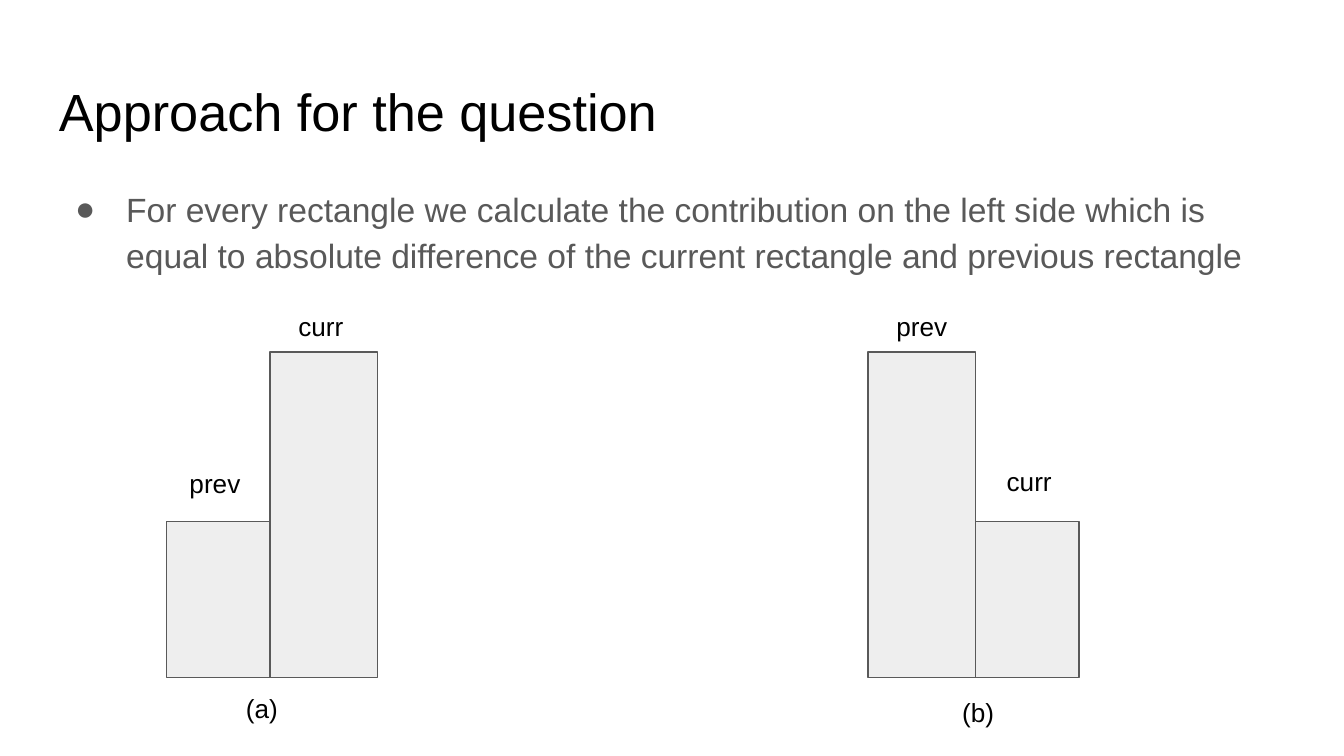
from lxml import etree
from pptx import Presentation
from pptx.dml.color import RGBColor
from pptx.enum import shapes, text
from pptx.oxml import ns
from pptx.util import Inches, Pt

BLACK = RGBColor(0x00, 0x00, 0x00)
GREY = RGBColor(0x59, 0x59, 0x59)
PALE = RGBColor(0xEE, 0xEE, 0xEE)
FONT = "Arial"
INSET = 0.1
SHORT, TALL = (0.77, 1.16), (0.8, 2.42)


def add_text(page, words, box, size=14, color=BLACK, indent=0, spacing=1.0):
    """Place one left-aligned paragraph in a box and return the paragraph."""
    frame = page.shapes.add_textbox(*map(Inches, box)).text_frame
    frame.word_wrap = True
    frame.vertical_anchor = text.MSO_ANCHOR.TOP
    frame.margin_left = Inches(INSET + indent)
    frame.margin_top = frame.margin_right = frame.margin_bottom = Inches(INSET)
    para = frame.paragraphs[0]
    para.line_spacing = spacing
    span = para.add_run()
    span.text = words
    span.font.name = FONT
    span.font.size = Pt(size)
    span.font.color.rgb = color
    return para


def add_bullet(para, color, margin, hanging):
    """Give a paragraph a coloured round bullet with a hanging indent."""
    properties = para._p.get_or_add_pPr()
    properties.set("marL", str(Inches(margin)))
    properties.set("indent", str(-Inches(hanging)))
    bullet_color = etree.SubElement(properties, ns.qn("a:buClr"))
    etree.SubElement(bullet_color, ns.qn("a:srgbClr"), val=str(color))
    etree.SubElement(properties, ns.qn("a:buFont"), typeface=FONT)
    etree.SubElement(properties, ns.qn("a:buChar"), char="●")


def add_bar(page, left, floor, size):
    """Stand one outlined bar on the floor line."""
    width, height = size
    box = (left, floor - height, width, height)
    bar = page.shapes.add_shape(shapes.MSO_SHAPE.RECTANGLE, *map(Inches, box))
    bar.shadow.inherit = False
    bar.fill.solid()
    bar.fill.fore_color.rgb = PALE
    bar.line.color.rgb = GREY
    bar.line.width = Pt(0.75)


def add_heading(page, left, top, width):
    """Write the title and the bulleted explanation below it."""
    add_text(page, "Approach for the question", (left, top, width, 0.63), size=28)
    para = add_text(
        page,
        "For every rectangle we calculate the contribution on the left side which is "
        "equal to absolute difference of the current rectangle and previous rectangle",
        (left, top + 0.77, width, 0.89), size=18, color=GREY, spacing=1.15)
    add_bullet(para, GREY, margin=0.5, hanging=0.38)


def add_case(page, left, floor, bars, labels):
    """Draw adjoining bars from the left edge, with labels relative to it and the floor."""
    bar_left = left
    for size in bars:
        add_bar(page, bar_left, floor, size)
        bar_left += size[0]
    for words, across, rise, width, height, indent in labels:
        box = (left + across, floor - rise, width, height)
        add_text(page, words, box, indent=indent)


def main():
    """Build and save the slide in the 16:9 format."""
    deck = Presentation()
    deck.slide_width = Inches(10)
    deck.slide_height = deck.slide_width * 9 // 16
    page = deck.slides.add_slide(deck.slide_layouts[6])
    add_heading(page, 0.34, 0.49, 9.32)
    add_case(page, 1.24, 5.04, (SHORT, TALL), (
        ("prev", 0.02, 1.66, 0.72, 0.51, 0.05),
        ("curr", 0.77, 2.83, 0.8, 0.42, 0.11),
        ("(a)", 0.38, -0.01, 0.8, 0.51, 0.11)))
    add_case(page, 6.46, 5.04, (TALL, SHORT), (
        ("prev", 0, 2.83, 0.8, 0.42, 0.11),
        ("curr", 0.82, 1.68, 0.72, 0.51, 0.11),
        ("(b)", 0.44, -0.04, 0.8, 0.51, 0.16)))
    deck.save("out.pptx")


if __name__ == "__main__":
    main()
